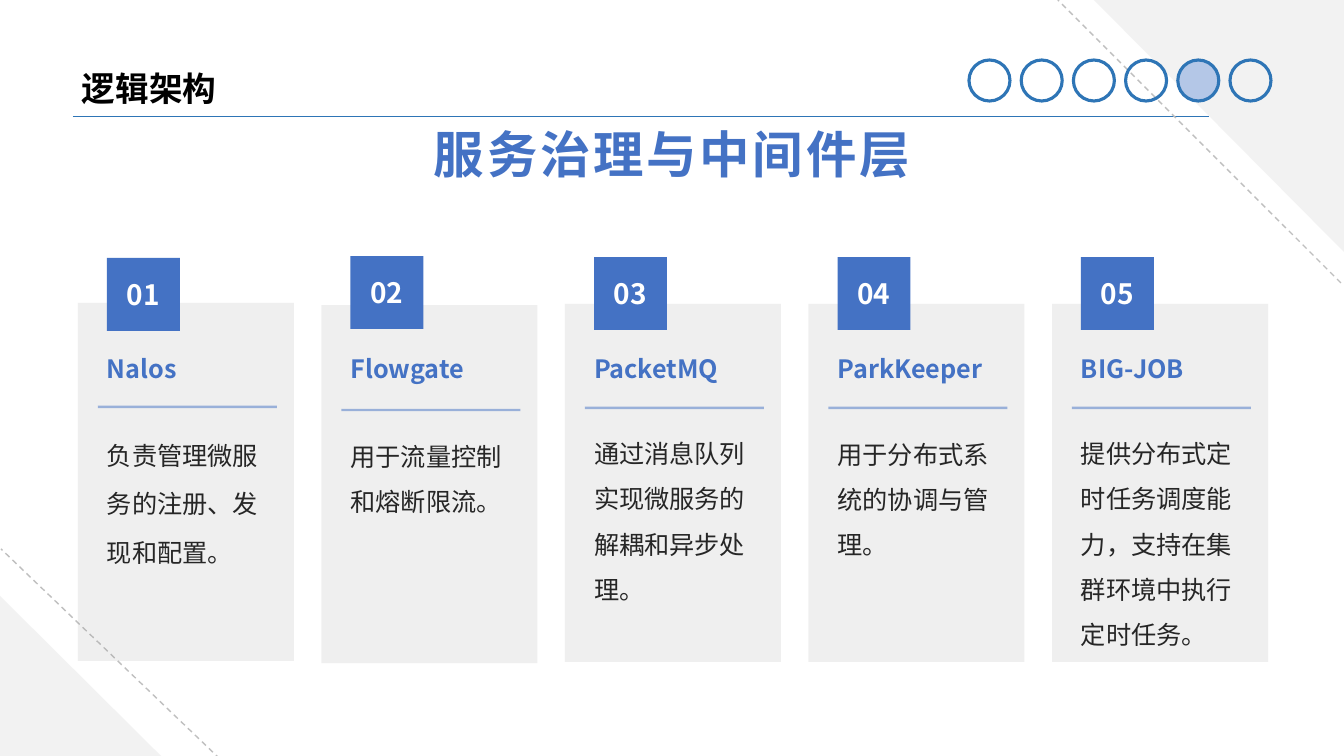
from lxml import etree
from pptx import Presentation
from pptx import util as u
from pptx.dml.color import RGBColor
from pptx.enum import dml, shapes, text
from pptx.oxml.ns import qn

# Content
SECTION = "逻辑架构"
TITLE = "服务治理与中间件层"
# name, description, line spacing
CARDS = [
    ("Nalos", "负责管理微服务的注册、发现和配置。", 1.6),
    ("Flowgate", "用于流量控制和熔断限流。", 1.5),
    ("PacketMQ", "通过消息队列实现微服务的解耦和异步处理。", 1.5),
    ("ParkKeeper", "用于分布式系统的协调与管理。", 1.5),
    ("BIG-JOB", "提供分布式定时任务调度能力，支持在集群环境中执行定时任务。", 1.5),
]
STEP_COUNT, CURRENT_STEP = 6, 4

# Colours and font
FONT = "Noto Sans CJK SC"
BLUE = RGBColor(0x44, 0x72, 0xC4)
DEEP_BLUE = RGBColor(0x2E, 0x75, 0xB6)
PALE_BLUE = RGBColor(0xB4, 0xC7, 0xE7)
CORNER_GREY = RGBColor(0xF2, 0xF2, 0xF2)
CARD_GREY = RGBColor(0x99, 0x99, 0x99)
DASH_GREY = RGBColor(0xBF, 0xBF, 0xBF)
INK = RGBColor(0x26, 0x26, 0x26)
BLACK = RGBColor(0, 0, 0)
WHITE = RGBColor(0xFF, 0xFF, 0xFF)

# Layout in px
SCALE = 914400 / 100.8
WIDTH, HEIGHT = 1344, 756
HEADER_RULE = ((73, 116), (1209, 116))
CORNER_DASHES = [((1341, 283), (1058, 0)), ((220, 759), (1, 549))]
TOP_CORNER = [(1094, 0), (WIDTH, 0), (WIDTH, 252)]
BOTTOM_CORNER = (0, 596, 161, 160)
TITLE_BOX = (67, 120, 1210, 84)
SECTION_BOX = (72, 43, 672, 72)

CARDS_LEFT, CARDS_RIGHT = 78, 1268
CARD_WIDTH, CARD_HEIGHT = 216, 358
CARD_PITCH = (CARDS_RIGHT - CARDS_LEFT - CARD_WIDTH) / (len(CARDS) - 1)
CARD_TOPS = (303, 305, 304, 304, 304)
BADGE_TOPS = (258, 256, 257, 257, 257)
RULE_TOPS = (407, 410, 408, 408, 408)
DESCRIPTION_TOPS = (422, 426, 423, 424, 423)
NAME_TOP, NAME_HEIGHT = 344, 49
TEXT_INSET, TEXT_WIDTH, DESCRIPTION_HEIGHT = 29, 159, 220
RULE_INSET, RULE_LENGTH = 20, 179
BADGE_SIZE = 73

STEPS_LEFT, STEPS_RIGHT, STEP_TOP, STEP_SIZE = 969, 1271, 60, 41
STEP_PITCH = (STEPS_RIGHT - STEPS_LEFT - STEP_SIZE) / (STEP_COUNT - 1)


def px(*lengths):
    return [round(length * SCALE) for length in lengths]


def set_opacity(fill, percent):
    color = fill._xPr.find(qn("a:solidFill"))[0]
    etree.SubElement(color, qn("a:alpha")).set("val", str(percent * 1000))


def style_shape(shape, fill=None, outline=None):
    shape.shadow.inherit = False
    if fill is None:
        shape.fill.background()
    else:
        shape.fill.solid()
        shape.fill.fore_color.rgb = fill
    if outline is None:
        shape.line.fill.background()
    else:
        shape.line.color.rgb = outline
        shape.line.width = u.Pt(2.25)


def add_shape(kind, box, fill=None, outline=None):
    shape = slide.shapes.add_shape(kind, *px(*box))
    style_shape(shape, fill, outline)
    return shape


def add_block(box, fill):
    block = add_shape(shapes.MSO_SHAPE.ROUNDED_RECTANGLE, box, fill)
    block.adjustments[0] = 0
    return block


def add_line(start, end, color, width):
    connector = slide.shapes.add_connector(shapes.MSO_CONNECTOR.STRAIGHT, *px(*start, *end))
    connector.line.color.rgb = color
    connector.line.width = u.Pt(width)
    etree.SubElement(connector._element.spPr, qn("a:effectLst"))
    return connector


def write(shape, words, size, color, bold=False, align=text.PP_ALIGN.LEFT, margins=(0, 0),
          anchor=text.MSO_ANCHOR.TOP, spacing=None, wrap=True):
    frame = shape.text_frame
    frame.text = words
    frame.word_wrap = wrap
    frame.vertical_anchor = anchor
    side, end = px(*margins)
    frame.margin_left = frame.margin_right = side
    frame.margin_top = frame.margin_bottom = end
    paragraph = frame.paragraphs[0]
    paragraph.alignment = align
    paragraph.line_spacing = spacing
    run = paragraph.runs[0]
    run.font.name = FONT
    run.font.size = u.Pt(size)
    run.font.bold = bold
    run.font.color.rgb = color
    etree.SubElement(run._r.get_or_add_rPr(), qn("a:ea")).set("typeface", FONT)
    return run


def add_text_box(box):
    return slide.shapes.add_textbox(*px(*box))


presentation = Presentation()
presentation.slide_width, presentation.slide_height = px(WIDTH, HEIGHT)
slide = presentation.slides.add_slide(presentation.slide_layouts[6])

# Header rule and corner decoration
add_line(*HEADER_RULE, DEEP_BLUE, 0.5)
builder = slide.shapes.build_freeform(*TOP_CORNER[0], scale=SCALE)
builder.add_line_segments(TOP_CORNER[1:], close=True)
style_shape(builder.convert_to_shape(), CORNER_GREY)
add_shape(shapes.MSO_SHAPE.RIGHT_TRIANGLE, BOTTOM_CORNER, CORNER_GREY)
for start, end in CORNER_DASHES:
    dashes = add_line(start, end, DASH_GREY, 1)
    dashes.line.dash_style = dml.MSO_LINE.DASH

# Headings
title_run = write(add_text_box(TITLE_BOX), TITLE, 36, BLUE, bold=True,
                  align=text.PP_ALIGN.CENTER, margins=(7, 3))
title_run._r.get_or_add_rPr().set("spc", "200")
section = add_text_box(SECTION_BOX)
write(section, SECTION, 24, BLACK, bold=True, margins=(10, 5), spacing=1.5)
section.text_frame.auto_size = text.MSO_AUTO_SIZE.SHAPE_TO_FIT_TEXT

# Numbered cards
tops = zip(CARD_TOPS, BADGE_TOPS, RULE_TOPS, DESCRIPTION_TOPS)
for index, (content, card_tops) in enumerate(zip(CARDS, tops)):
    name, description, spacing = content
    card_top, badge_top, rule_top, description_top = card_tops
    card_left = CARDS_LEFT + index * CARD_PITCH
    text_left = card_left + TEXT_INSET
    rule_left = card_left + RULE_INSET

    card = add_block((card_left, card_top, CARD_WIDTH, CARD_HEIGHT), CARD_GREY)
    set_opacity(card.fill, 15)
    description_box = add_text_box((text_left, description_top, TEXT_WIDTH, DESCRIPTION_HEIGHT))
    write(description_box, description, 18, INK, spacing=spacing)
    badge = add_block((text_left, badge_top, BADGE_SIZE, BADGE_SIZE), BLUE)
    write(badge, f"{index + 1:02}", 20, WHITE, bold=True, align=text.PP_ALIGN.CENTER,
          anchor=text.MSO_ANCHOR.MIDDLE, wrap=False)
    rule = add_line((rule_left, rule_top), (rule_left + RULE_LENGTH, rule_top), BLUE, 1.75)
    set_opacity(rule.line.fill, 50)
    name_box = add_text_box((text_left, NAME_TOP, TEXT_WIDTH, NAME_HEIGHT))
    write(name_box, name, 18, BLUE, bold=True, anchor=text.MSO_ANCHOR.MIDDLE)

# Progress circles
for step in range(STEP_COUNT):
    step_left = STEPS_LEFT + step * STEP_PITCH
    fill = PALE_BLUE if step == CURRENT_STEP else None
    add_shape(shapes.MSO_SHAPE.OVAL, (step_left, STEP_TOP, STEP_SIZE, STEP_SIZE), fill, DEEP_BLUE)

presentation.save("out.pptx")
